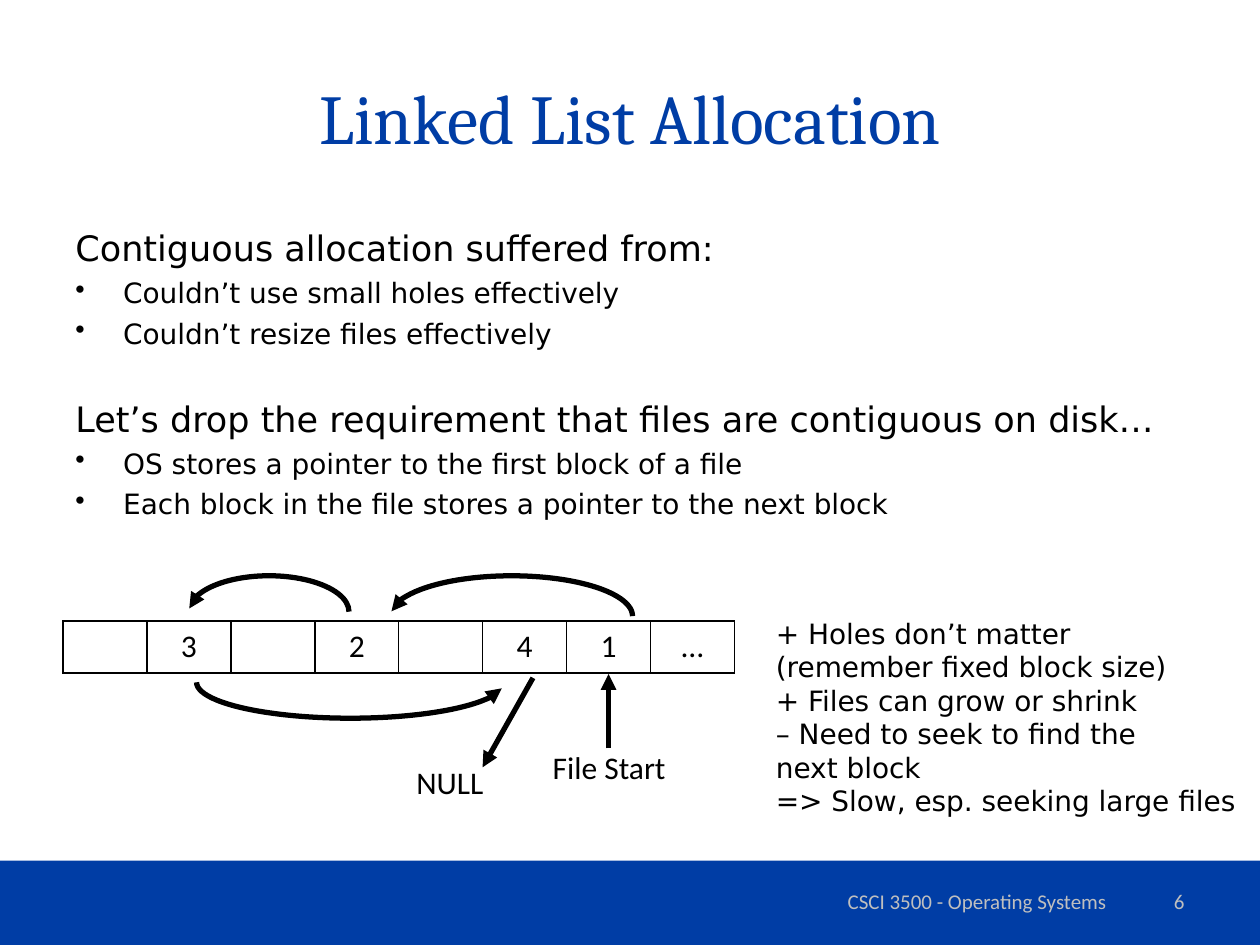
from lxml import etree
from pptx import Presentation
from pptx import util as u
from pptx.dml.color import RGBColor
from pptx.enum import shapes, text
from pptx.oxml import ns

BLUE = RGBColor(0x00, 0x3D, 0xA5)
BLACK = RGBColor(0, 0, 0)
GREY = RGBColor(0xBF, 0xBF, 0xBF)
LEFT, CENTER, RIGHT = text.PP_ALIGN.LEFT, text.PP_ALIGN.CENTER, text.PP_ALIGN.RIGHT
MIDDLE, TOP = text.MSO_ANCHOR.MIDDLE, text.MSO_ANCHOR.TOP

TITLE = "Linked List Allocation"
SECTIONS = [
    ("Contiguous allocation suffered from:",
     ["Couldn’t use small holes effectively",
      "Couldn’t resize files effectively"]),
    ("Let’s drop the requirement that files are contiguous on disk…",
     ["OS stores a pointer to the first block of a file",
      "Each block in the file stores a pointer to the next block"]),
]
BLOCKS = ["", "3", "", "2", "", "4", "1", "…"]
TRADEOFFS = [
    ["+ Holes don’t matter", "(remember fixed block size)",
     "+ Files can grow or shrink", "– Need to seek to find the", "next block"],
    ["=> Slow, esp. seeking large files"],
]
LABELS = [("File Start", (4.28, 5.89, 1.11, 0.4)), ("NULL", (3.2, 6.01, 0.74, 0.4))]
FOOTERS = [("CSCI 3500 - Operating Systems", (6.17, 6.95, 3.17, 0.4), CENTER),
           ("6", (7.17, 6.95, 2.33, 0.4), RIGHT)]
ARROWS = [((4.83, 5.94), (4.83, 5.35)), ((4.23, 5.38), (3.83, 6.09))]
ARCS = [((1.5, 4.57, 1.27, 0.57), 0), ((3.1, 4.57, 1.92, 0.64), 0),
        ((1.56, 5.13, 2.44, 0.57), 180)]
TABLE_AREA = (0.5, 4.93, 5.33, 0.41)


def lengths(area):
    return [u.Inches(value) for value in area]


def add_span(para, words, size, face, color=BLACK):
    span = para.add_run()
    span.text = words
    span.font.size = u.Pt(size)
    span.font.name = face
    span.font.color.rgb = color


def add_box(page, area, anchor=TOP, wrap=True):
    box = page.shapes.add_textbox(*lengths(area))
    frame = box.text_frame
    frame.word_wrap = wrap
    frame.vertical_anchor = anchor
    if not wrap:
        frame.auto_size = text.MSO_AUTO_SIZE.SHAPE_TO_FIT_TEXT
    return frame


def add_label(page, words, area, size, face, color=BLACK, align=CENTER,
              anchor=TOP, wrap=True):
    para = add_box(page, area, anchor, wrap).paragraphs[0]
    para.alignment = align
    add_span(para, words, size, face, color)


def next_para(frame, first):
    return frame.paragraphs[0] if first else frame.add_paragraph()


def add_body(page):
    frame = add_box(page, (0.5, 1.75, 9, 4.95))
    for number, (heading, points) in enumerate(SECTIONS):
        para = next_para(frame, number == 0)
        if number:
            para.space_before = u.Pt(27)
        add_span(para, heading, 20, "DejaVu Sans")
        for point in points:
            para = frame.add_paragraph()
            para.space_before = u.Pt(4)
            props = para._p.get_or_add_pPr()
            props.set("marL", str(u.Inches(0.38)))
            props.set("indent", str(u.Inches(-0.38)))
            etree.SubElement(props, ns.qn("a:buChar"), char="•")
            add_span(para, point, 16, "DejaVu Sans")


def add_blocks(page):
    frame = page.shapes.add_table(1, len(BLOCKS), *lengths(TABLE_AREA))
    table = frame.table
    table.first_row = table.horz_banding = False
    for column, words in enumerate(BLOCKS):
        table.columns[column].width = u.Inches(TABLE_AREA[2] / len(BLOCKS))
        cell = table.cell(0, column)
        props = cell._tc.get_or_add_tcPr()
        for side in ("lnL", "lnR", "lnT", "lnB"):
            line = etree.SubElement(props, ns.qn("a:" + side), w=str(u.Pt(1)))
            solid = etree.SubElement(line, ns.qn("a:solidFill"))
            etree.SubElement(solid, ns.qn("a:srgbClr"), val=str(BLACK))
        cell.fill.background()
        if words:
            para = cell.text_frame.paragraphs[0]
            para.alignment = CENTER
            add_span(para, words, 18, "Calibri")


def style_arrow(shape, end):
    shape.line.color.rgb = BLACK
    shape.line.width = u.Pt(3)
    etree.SubElement(shape.line._get_or_add_ln(), ns.qn("a:" + end), type="triangle")


def add_pointers(page):
    for start, stop in ARROWS:
        arrow = page.shapes.add_connector(
            shapes.MSO_CONNECTOR.STRAIGHT, *lengths(start + stop))
        style_arrow(arrow, "tailEnd")
        etree.SubElement(arrow._element.spPr, ns.qn("a:effectLst"))
    for area, angle in ARCS:
        arc = page.shapes.add_shape(shapes.MSO_SHAPE.ARC, *lengths(area))
        arc.adjustments[0] = 109.37
        arc.adjustments[1] = 0
        arc.rotation = angle
        arc.fill.background()
        style_arrow(arc, "headEnd")
        arc.shadow.inherit = False


def add_tradeoffs(page):
    frame = add_box(page, (6.06, 4.84, 3.93, 1.72), wrap=False)
    for number, lines in enumerate(TRADEOFFS):
        para = next_para(frame, number == 0)
        para.alignment = LEFT
        for row, words in enumerate(lines):
            if row:
                para.add_line_break()
            add_span(para, words, 16, "DejaVu Sans")


def main():
    deck = Presentation()
    deck.slide_width, deck.slide_height = u.Inches(10), u.Inches(7.5)
    page = deck.slides.add_slide(deck.slide_layouts[6])

    band = page.shapes.add_shape(
        shapes.MSO_SHAPE.RECTANGLE, *lengths((0, 6.83, 10, 0.67)))
    band.fill.solid()
    band.fill.fore_color.rgb = BLUE
    band.line.fill.background()
    band.shadow.inherit = False

    add_label(page, TITLE, (0.5, 0.3, 9, 1.25), 40, "Cambria", BLUE, anchor=MIDDLE)
    add_body(page)
    for words, area, align in FOOTERS:
        add_label(page, words, area, 12, "Calibri", GREY, align, MIDDLE)
    add_blocks(page)
    add_pointers(page)
    for words, area in LABELS:
        add_label(page, words, area, 18, "Calibri", wrap=False)
    add_tradeoffs(page)
    deck.save("out.pptx")


if __name__ == "__main__":
    main()
